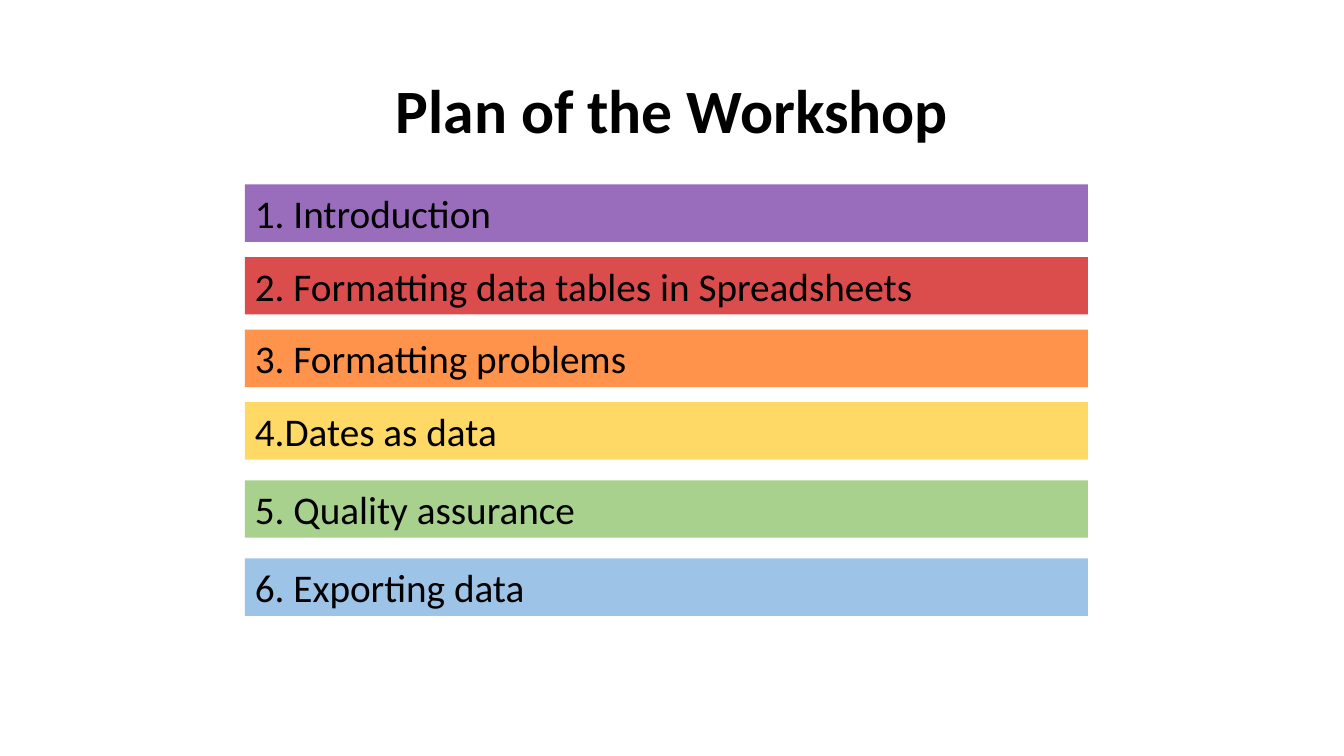
from pptx import Presentation, util as u
from pptx.dml.color import RGBColor
from pptx.enum import shapes, text
from pptx.oxml import ns, xmlchemy

BLACK = RGBColor(0x00, 0x00, 0x00)
PURPLE = RGBColor(0x70, 0x30, 0xA0)
RED = RGBColor(0xCC, 0x00, 0x00)
ORANGE = RGBColor(0xFF, 0x66, 0x00)
YELLOW = RGBColor(0xFF, 0xD9, 0x66)
GREEN = RGBColor(0xA9, 0xD1, 0x8E)
BLUE = RGBColor(0x9D, 0xC3, 0xE6)

# Each topic: wording, colour, opacity in percent, rows down to the next bar
TOPICS = [
    ("1. Introduction", PURPLE, 70, 7.2),
    ("2. Formatting data tables in Spreadsheets", RED, 70, 7.2),
    ("3. Formatting problems", ORANGE, 70, 7.2),
    ("4.Dates as data", YELLOW, 100, 7.75),
    ("5. Quality assurance", GREEN, 100, 7.75),
    ("6. Exporting data", BLUE, 100, 7.75),
]


class Deck:
    """Holds the style and the slide; lengths are grid columns and rows."""
    FONT = "Calibri"
    COLS, ROWS = 100, 75

    def __init__(self):
        self.prs = Presentation()
        self.prs.slide_width = u.Inches(13.33)
        self.prs.slide_height = u.Inches(7.5)
        self.slide = self.prs.slides.add_slide(self.prs.slide_layouts[6])

    def box(self, col, row, cols, rows):
        dx = self.prs.slide_width / self.COLS
        dy = self.prs.slide_height / self.ROWS
        return [round(v) for v in (col * dx, row * dy, cols * dx, rows * dy)]

    def label(self, sp, words, size, align, anchor, bold=False):
        tf = sp.text_frame
        tf.word_wrap = True
        tf.vertical_anchor = anchor
        p = tf.paragraphs[0]
        p.alignment = align
        r = p.add_run()
        r.text = words
        r.font.name = self.FONT
        r.font.size = u.Pt(size)
        r.font.bold = bold
        r.font.color.rgb = BLACK
        return p

    def title(self, words, *cells):
        sp = self.slide.shapes.add_textbox(*self.box(*cells))
        p = self.label(sp, words, 44, text.PP_ALIGN.CENTER,
                       text.MSO_ANCHOR.MIDDLE, bold=True)
        p.line_spacing = 0.9

    def bar(self, words, color, opacity, *cells):
        sp = self.slide.shapes.add_shape(
            shapes.MSO_SHAPE.RECTANGLE, *self.box(*cells))
        sp.shadow.inherit = False
        sp.line.fill.background()
        sp.fill.solid()
        sp.fill.fore_color.rgb = color
        if opacity < 100:
            clr = sp.element.spPr.find(ns.qn("a:solidFill"))[0]
            alpha = xmlchemy.OxmlElement("a:alpha")
            alpha.set("val", str(opacity * 1000))
            clr.append(alpha)
        self.label(sp, words, 28, text.PP_ALIGN.LEFT, text.MSO_ANCHOR.TOP)
        sp.text_frame.auto_size = text.MSO_AUTO_SIZE.SHAPE_TO_FIT_TEXT


def main():
    deck = Deck()

    # Heading
    deck.title("Plan of the Workshop", 6.9, 4, 86.27, 14.5)

    # Topic bars
    row = 18.3
    for words, color, opacity, pitch in TOPICS:
        deck.bar(words, color, opacity, 18.23, row, 62.72, 5.7)
        row += pitch

    deck.prs.save("out.pptx")


if __name__ == "__main__":
    main()
